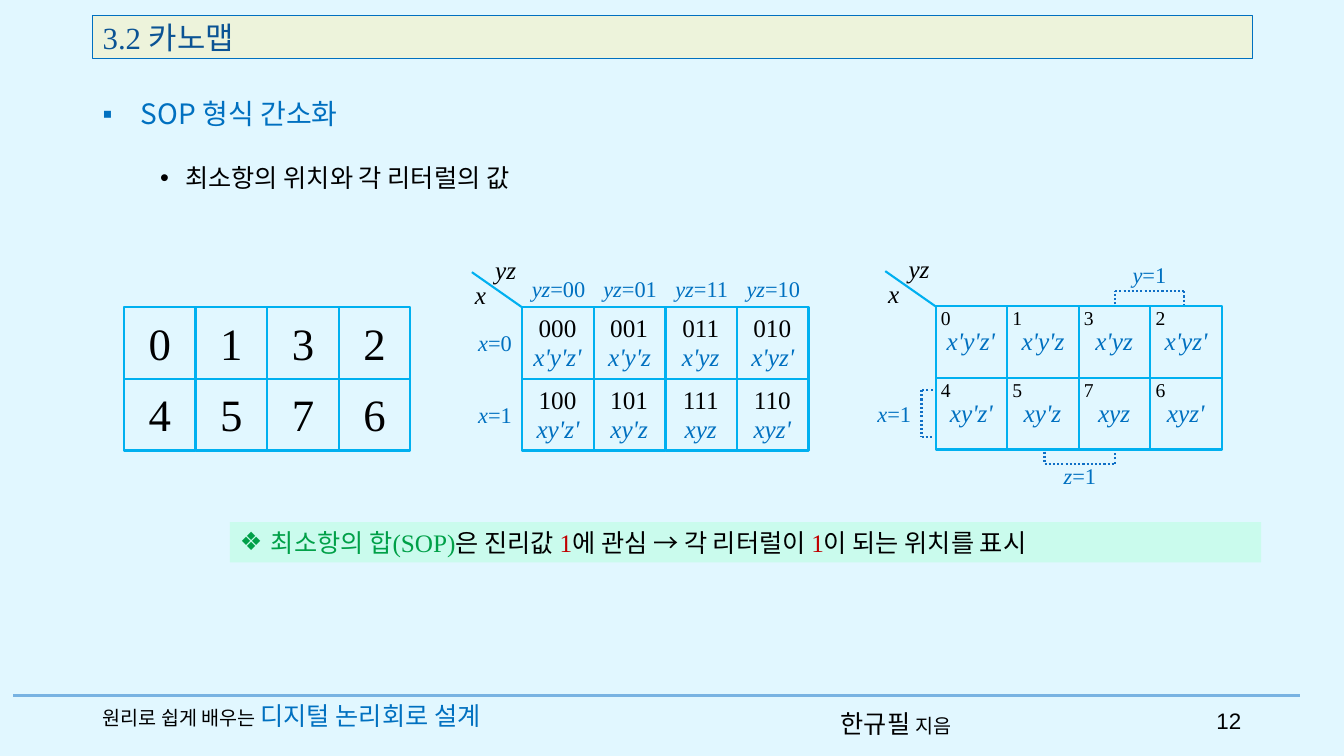
from itertools import pairwise

from lxml.etree import SubElement
from pptx import Presentation
from pptx.dml.color import RGBColor
from pptx.enum.dml import MSO_LINE_DASH_STYLE as Dash
from pptx.enum.shapes import MSO_CONNECTOR as Connector, MSO_SHAPE as Shape
from pptx.enum.text import MSO_ANCHOR as Anchor, MSO_AUTO_SIZE as AutoSize, PP_ALIGN as Align
from pptx.oxml.ns import qn
from pptx.util import Pt

PX = 9144
BLACK = RGBColor(0x00, 0x00, 0x00)
BLUE = RGBColor(0x00, 0x70, 0xC0)
NAVY = RGBColor(0x0B, 0x53, 0x94)
CYAN = RGBColor(0x00, 0xB0, 0xF0)
BRACKET_BLUE = RGBColor(0x0F, 0x6F, 0xC6)
RULE_BLUE = RGBColor(0x78, 0xB3, 0xE2)
SKY = RGBColor(0xE1, 0xF7, 0xFF)
IVORY = RGBColor(0xED, 0xF3, 0xDB)
MINT = RGBColor(0xCA, 0xFB, 0xED)
GREEN = RGBColor(0x00, 0xA0, 0x48)
RED = RGBColor(0xC0, 0x00, 0x00)
SERIF = "Times New Roman"
KOREAN = "Noto Sans CJK KR"
CELL = 71
TERM_WIDTHS = {3: 52, 4: 58, 5: 63, 6: 70}
MINTERMS = ((0, 1, 3, 2), (4, 5, 7, 6))


class Page:
    def __init__(self, deck):
        self.slide = deck.slides.add_slide(deck.slide_layouts[6])
        self.shapes = self.slide.shapes
        fill = self.slide.background.fill
        fill.solid()
        fill.fore_color.rgb = SKY

    def add_spans(self, box, spans, size, font=SERIF, align=Align.LEFT, bullet=None, margin=0, hang=0):
        para = box.text_frame.paragraphs[0]
        para.alignment = align
        for text, color, *style in spans:
            span = para.add_run()
            span.text = text
            span.font.size = Pt(style[1] if len(style) > 1 else size)
            span.font.name = font
            span.font.color.rgb = color
            span.font.italic = bool(style and style[0])
            SubElement(span.font._element, qn("a:ea")).set("typeface", KOREAN)
        if bullet:
            props = para._p.get_or_add_pPr()
            props.set("marL", str(margin * PX))
            props.set("indent", str(-hang * PX))
            SubElement(props, qn("a:buFont")).set("typeface", "Arial")
            SubElement(props, qn("a:buChar")).set("char", bullet)
        return para

    def text(self, left, top, width, height, spans, size, wrap=True, anchor=Anchor.TOP, **style):
        box = self.shapes.add_textbox(left * PX, top * PX, width * PX, height * PX)
        box.text_frame.word_wrap = wrap
        box.text_frame.auto_size = AutoSize.NONE
        box.text_frame.vertical_anchor = anchor
        return self.add_spans(box, spans, size, **style)

    def label(self, left, top, width, height, spans, size):
        self.text(left, top, width, height, spans, size, wrap=False, align=Align.CENTER)

    def rect(self, left, top, width, height, fill=None, line=None, weight=1.5):
        box = self.shapes.add_shape(Shape.RECTANGLE, left * PX, top * PX, width * PX, height * PX)
        box.shadow.inherit = False
        if fill is None:
            box.fill.background()
        else:
            box.fill.solid()
            box.fill.fore_color.rgb = fill
        if line is None:
            box.line.fill.background()
        else:
            box.line.color.rgb = line
            box.line.width = Pt(weight)
        box.text_frame.word_wrap = True
        box.text_frame.vertical_anchor = Anchor.MIDDLE
        return box

    def line(self, start, end, color, weight=1.5, dash=None):
        ends = [length * PX for length in (*start, *end)]
        link = self.shapes.add_connector(Connector.STRAIGHT, *ends)
        link.line.color.rgb = color
        link.line.width = Pt(weight)
        if dash:
            link.line.dash_style = dash
        SubElement(link._element.spPr, qn("a:effectLst"))

    def bracket(self, *corners):
        for start, end in pairwise(corners):
            self.line(start, end, BRACKET_BLUE, dash=Dash.ROUND_DOT)

    def grid(self, left, top):
        cells = []
        for row, numbers in enumerate(MINTERMS):
            for col, number in enumerate(numbers):
                x, y = left + col * CELL, top + row * CELL
                self.rect(x, y, CELL, CELL, line=CYAN)
                cells.append((number, x, y))
        return cells

    def axes(self, left, top):
        self.line((left - 50, top - 35), (left, top), CYAN)
        self.label(left - 57, top - 33, 31, 40, [("x", BLACK, True)], 18)
        self.label(left - 37, top - 58, 41, 40, [("yz", BLACK, True)], 18)

    def term(self, number, x, y):
        text = minterm(number)
        width = TERM_WIDTHS[len(text)]
        self.label(x + (CELL - width) // 2, y, width, 40, [(text, BLUE, True)], 18)

    def condition(self, left, top, name, value, width=54):
        self.label(left, top, width, 37, [(name, BLUE, True), (f"={value}", BLUE)], 16)


def minterm(number):
    return "".join(name if bit == "1" else name + "'" for name, bit in zip("xyz", f"{number:03b}"))


def number_map(page, left, top):
    for number, x, y in page.grid(left, top):
        page.label(x + 14, y + 3, 43, 64, [(str(number), BLACK)], 32)


def code_map(page, left, top):
    cells = page.grid(left, top)
    page.axes(left, top)
    for number, x, y in cells:
        page.label(x + 6, y, 58, 40, [(f"{number:03b}", BLACK)], 18)
        page.term(number, x, y + 29)
    for row in range(2):
        page.condition(left - 54, top + 17 + row * CELL, "x", row)
    for col, number in enumerate(MINTERMS[0]):
        page.condition(left - 1 + col * CELL, top - 37, "yz", f"{number:02b}", 74)


def literal_map(page, left, top):
    cells = page.grid(left, top)
    page.axes(left, top)
    for number, x, y in cells:
        page.term(number, x, y + 14)
        page.label(x - 5, y - 5, 30, 34, [(str(number), BLACK)], 14)
    page.bracket((1106, 302), (1106, 289), (1174, 289), (1174, 302))
    page.bracket((1036, 448), (1036, 460), (1106, 460), (1106, 448))
    page.bracket((925, 387), (914, 387), (914, 434), (925, 434))
    page.condition(860, 392, "x", 1)
    page.condition(1113, 254, "y", 1)
    page.condition(1044, 454, "z", 1)


def main():
    deck = Presentation()
    deck.slide_width, deck.slide_height = 1333 * PX, 750 * PX
    page = Page(deck)

    page.line((13, 690), (1289, 690), RULE_BLUE, 2.5)
    page.text(824, 698, 153, 40, [("한규필 ", BLACK), ("지음", BLACK, False, 14)], 18, font=KOREAN)
    page.text(1179, 695, 62, 40, [("12", BLACK)], 16, font="Arial", align=Align.RIGHT, anchor=Anchor.MIDDLE)
    title = page.rect(92, 15, 1150, 43, IVORY, BLUE, 0.75)
    page.add_spans(title, [("3.2 카노맵", NAVY)], 22)
    point = page.text(99, 150, 1150, 52, [("최소항의 위치와 각 리터럴의 값", BLACK)], 18,
                      bullet="•", margin=75, hang=25)
    point.line_spacing = 1.2
    point.space_before = Pt(5)
    page.text(92, 91, 667, 44, [("SOP 형식 간소화", BLUE)], 20, font=KOREAN, bullet="▪", margin=38, hang=38)

    number_map(page, 123, 305)
    code_map(page, 518, 305)
    literal_map(page, 928, 304)

    summary = page.rect(228, 518, 1023, 40, MINT)
    page.add_spans(summary, [("최소항의 합(SOP)", GREEN), ("은 진리값 ", BLACK), ("1", RED),
                             ("에 관심 → 각 리터럴이 ", BLACK), ("1", RED), ("이 되는 위치를 표시", BLACK)],
                   18, bullet="❖", margin=31, hang=31)
    page.text(92, 690, 463, 40, [("원리로 쉽게 배우는 ", BLACK, False, 14), ("디지털 논리회로 설계", BLUE)], 18)
    deck.save("out.pptx")


if __name__ == "__main__":
    main()
